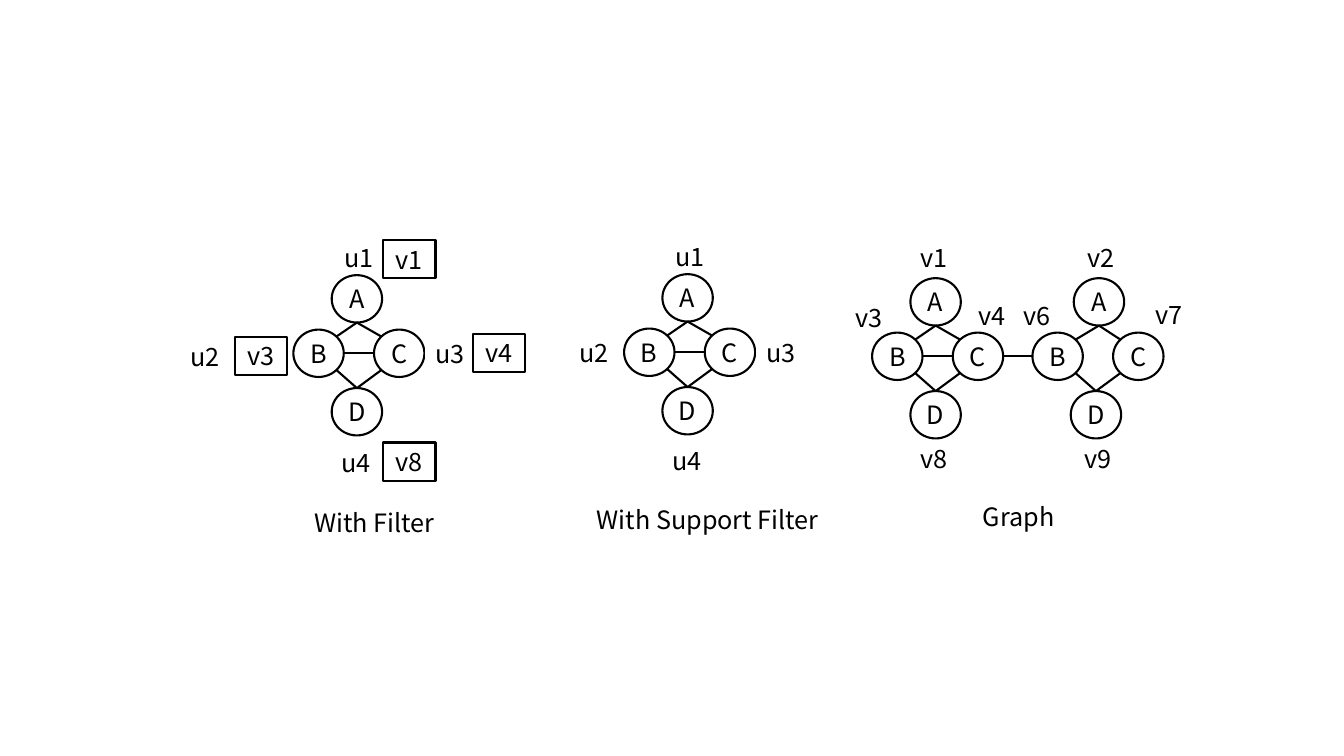
from lxml import etree
from pptx import Presentation, util as u
from pptx.dml.color import RGBColor
from pptx.enum import shapes, text
from pptx.oxml.ns import qn

FONT, SIZE = "Noto Sans CJK SC", 18
BLACK, WHITE = "000000", "FFFFFF"
NODE_W, NODE_H = 0.5, 0.47
LABEL_W, LABEL_H = 0.62, 0.4
BOX_W, BOX_H = 0.52, 0.38

NODES = {"A": (0, 0), "C": (0.42, 0.54), "B": (-0.38, 0.54), "D": (0, 1.12)}
SITES = {"top": (0.5, 0), "bottom": (0.5, 1), "left": (0, 0.5), "right": (1, 0.5),
         "top left": (0.15, 0.15), "top right": (0.85, 0.15),
         "bottom left": (0.15, 0.85), "bottom right": (0.85, 0.85)}
RIM = [("A", "bottom", "C", "top left"), ("A", "bottom", "B", "top right"),
       ("C", "bottom left", "D", "top"), ("D", "top", "B", "bottom right")]
BAR = ("C", "left", "B", "right")

FIGURES = [
    {"diamonds": [(6.57, 2.72, 0, RIM + [BAR])],
     "labels": [("u1", 6.6, 2.34), ("u2", 5.65, 3.3), ("u3", 7.5, 3.3), ("u4", 6.57, 4.37)],
     "caption": ("With Support Filter", 5.82, 4.95, 3.4),
     "boxes": []},
    {"diamonds": [(9.03, 2.76, 0, RIM + [BAR]), (10.62, 2.76, 0.03, RIM)],
     "labels": [("v1", 9.03, 2.35), ("v2", 10.69, 2.35), ("v3", 8.39, 2.95),
                ("v4", 9.61, 2.93), ("v6", 10.05, 2.93), ("v7", 11.36, 2.92),
                ("v8", 9.03, 4.35), ("v9", 10.66, 4.35)],
     "caption": ("Graph", 9.65, 4.92, 1.86),
     "boxes": []},
    {"diamonds": [(3.29, 2.73, 0, RIM + [BAR])],
     "labels": [("u1", 3.32, 2.35), ("u2", 1.79, 3.34), ("u3", 4.22, 3.31), ("u4", 3.29, 4.39)],
     "caption": ("With Filter", 3.02, 4.98, 1.86),
     "boxes": [("v1", 3.8, 2.38), ("v8", 3.8, 4.39), ("v4", 4.69, 3.31), ("v3", 2.33, 3.34)]},
]


def rgb(value):
    return RGBColor.from_string(value)


def write(sp, words):
    tf = sp.text_frame
    tf.text = words
    font = tf.paragraphs[0].runs[0].font
    font.name, font.size, font.color.rgb = FONT, u.Pt(SIZE), rgb(BLACK)
    r_pr = tf.paragraphs[0].runs[0].font._element
    etree.SubElement(r_pr, qn("a:ea")).set("typeface", FONT)
    return tf


def outlined(grp, kind, words, x, y, w, h):
    sp = grp.shapes.add_shape(kind, *map(u.Inches, (x, y, w, h)))
    sp.shadow.inherit = False
    sp.fill.solid()
    sp.fill.fore_color.rgb = rgb(WHITE)
    sp.line.color.rgb = rgb(BLACK)
    sp.line.width = u.Pt(1.5)
    tf = write(sp, words)
    tf.margin_left = tf.margin_right = tf.margin_top = tf.margin_bottom = 0
    tf.word_wrap = False
    tf.vertical_anchor = text.MSO_ANCHOR.MIDDLE
    tf.paragraphs[0].alignment = text.PP_ALIGN.CENTER


def label(grp, words, x, y, w=LABEL_W):
    sp = grp.shapes.add_textbox(*map(u.Inches, (x, y, w, LABEL_H)))
    tf = write(sp, words)
    tf.word_wrap = True
    tf.auto_size = text.MSO_AUTO_SIZE.SHAPE_TO_FIT_TEXT
    if words == "u3":
        sp.line.color.rgb = rgb(WHITE)
        sp.line.width = u.Pt(0.75)


def site(corner, name):
    fx, fy = SITES[name]
    return corner[0] + fx * NODE_W, corner[1] + fy * NODE_H


def edge(grp, start, end):
    line = grp.shapes.add_connector(shapes.MSO_CONNECTOR.STRAIGHT,
                                    *map(u.Inches, (*start, *end)))
    line.line.color.rgb = rgb(BLACK)
    line.line.width = u.Pt(1.5)
    etree.SubElement(line._element.spPr, qn("a:effectLst"))


def diamond(grp, left, top, apex_shift, edges):
    corners = {n: (left + dx, top + dy) for n, (dx, dy) in NODES.items()}
    corners["A"] = (left + apex_shift, top)
    for name, corner in corners.items():
        outlined(grp, shapes.MSO_SHAPE.OVAL, name, *corner, NODE_W, NODE_H)
    for n1, site1, n2, site2 in edges:
        edge(grp, site(corners[n1], site1), site(corners[n2], site2))
    return corners


prs = Presentation()
prs.slide_width, prs.slide_height = u.Inches(13.33), u.Inches(7.5)
s = prs.slides.add_slide(prs.slide_layouts[6])

for figure in FIGURES:
    grp = s.shapes.add_group_shape()
    drawn = [diamond(grp, *d) for d in figure["diamonds"]]
    for one, following in zip(drawn, drawn[1:]):
        edge(grp, site(following["B"], "left"), site(one["C"], "right"))
    for item in figure["labels"]:
        label(grp, *item)
    label(grp, *figure["caption"])
    for words, x, y in figure["boxes"]:
        outlined(grp, shapes.MSO_SHAPE.RECTANGLE, words, x, y, BOX_W, BOX_H)

prs.save("out.pptx")
